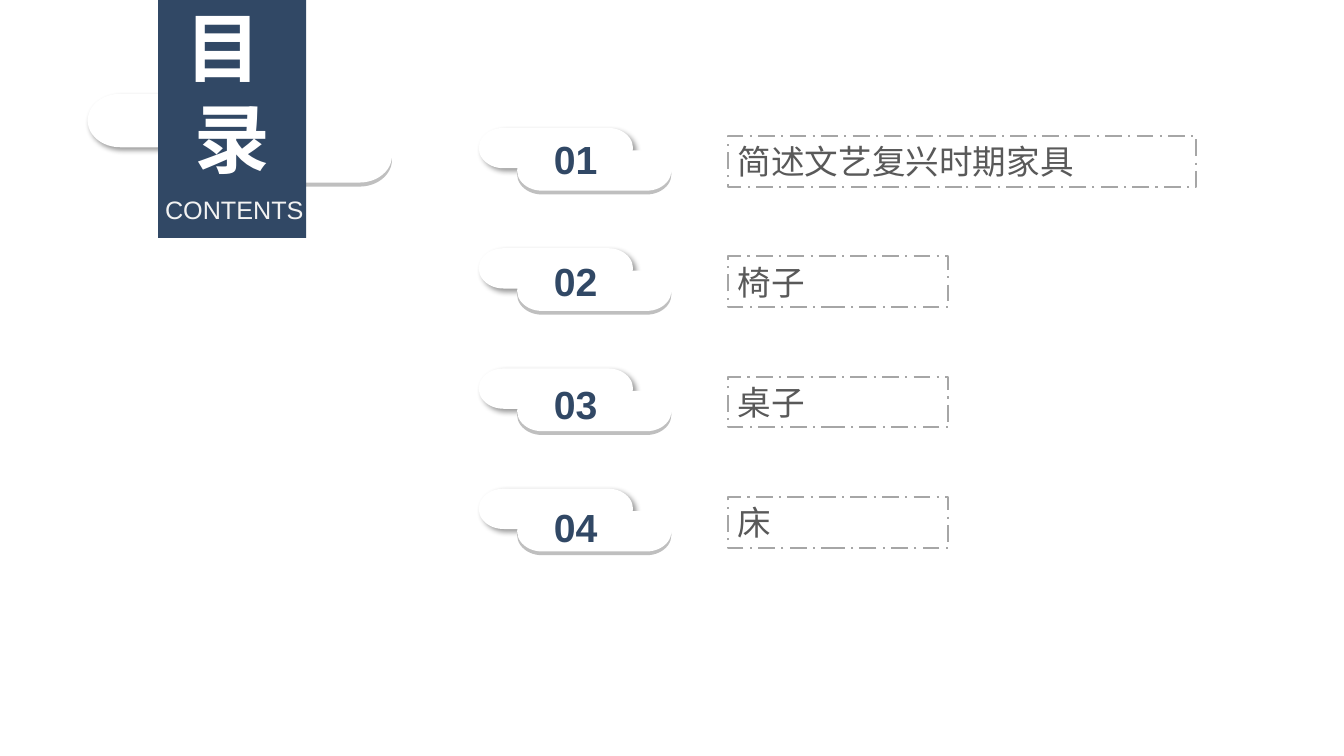
"""Build a contents slide with four numbered entries."""
from dataclasses import dataclass

from lxml.etree import SubElement
from pptx import Presentation
from pptx.dml.color import RGBColor
from pptx.enum.dml import MSO_LINE
from pptx.enum.shapes import MSO_SHAPE
from pptx.enum.text import MSO_ANCHOR, MSO_AUTO_SIZE, PP_ALIGN
from pptx.oxml.ns import qn
from pptx.shapes.autoshape import Shape
from pptx.shapes.shapetree import GroupShapes
from pptx.slide import Slide
from pptx.util import Pt


@dataclass(frozen=True)
class Theme:
    """Colours, font and type sizes."""
    navy: str = "314865"
    white: str = "FFFFFF"
    pale: str = "F2F2F2"
    lip: str = "BFBFBF"
    frame: str = "A6A6A6"
    ink: str = "595959"
    shade: str = "000000"
    font: str = "Arial"
    title: int = 54
    badge: int = 28
    entry: int = 24
    small: int = 18


@dataclass(frozen=True)
class Box:
    """A rectangle in points."""
    left: float
    top: float
    width: float
    height: float

    def move(self, right: float, down: float) -> "Box":
        """Return the box shifted by the given offsets."""
        return Box(self.left + right, self.top + down, self.width, self.height)

    def place(self) -> tuple[Pt, Pt, Pt, Pt]:
        """Return the box as lengths."""
        return Pt(self.left), Pt(self.top), Pt(self.width), Pt(self.height)


@dataclass(frozen=True)
class Cloud:
    """A pill with a second, lipped pill set off from it."""
    box: Box
    right: float
    down: float
    lip: float


@dataclass(frozen=True)
class Entry:
    """A line of the contents list."""
    text: str
    width: float = 157.7


THEME = Theme()
HEAD = Cloud(Box(62.6, 67, 144.7, 38.2), 72.7, 25.2, 2.9)
BADGE = Cloud(Box(342, 91.4, 110.2, 28.8), 27.4, 16, 2.7)
LABEL = Box(383.8, 92.9, 54.7, 41)
BANNER = Box(113, 0, 105.8, 170)
ENTRIES = [Entry("简述文艺复兴时期家具", 334.8), Entry("椅子"), Entry("桌子"), Entry("床")]
STEP = 85.9
DRIFT = 87.6


def paint(shape: Shape, color: str) -> None:
    """Give a shape a flat fill without line or shadow."""
    shape.shadow.inherit = False
    shape.fill.solid()
    shape.fill.fore_color.rgb = RGBColor.from_string(color)
    shape.line.fill.background()


def shade(shape: Shape) -> None:
    """Add a soft diagonal shadow."""
    effect = shape.element.spPr.find(qn("a:effectLst"))
    outer = SubElement(effect, qn("a:outerShdw"), blurRad=str(Pt(4)),
                       dist=str(Pt(3)), dir="2700000", algn="tl", rotWithShape="0")
    color = SubElement(outer, qn("a:srgbClr"), val=THEME.shade)
    SubElement(color, qn("a:alpha"), val="40000")


def write(shape: Shape, text: str, size: int, color: str, bold: bool = False,
          align: PP_ALIGN = PP_ALIGN.CENTER, anchor: MSO_ANCHOR = MSO_ANCHOR.MIDDLE,
          tight: bool = False) -> None:
    """Set and format the text of a shape."""
    frame = shape.text_frame
    frame.text = text
    frame.word_wrap = True
    frame.auto_size = MSO_AUTO_SIZE.NONE
    frame.vertical_anchor = anchor
    if tight:
        frame.margin_left = frame.margin_right = Pt(0)
        frame.margin_top = frame.margin_bottom = Pt(0)
    for line in frame.paragraphs:
        line.alignment = align
        for run in line.runs:
            run.font.name = THEME.font
            run.font.size = Pt(size)
            run.font.bold = bold
            run.font.color.rgb = RGBColor.from_string(color)


def draw_cloud(slide: Slide, cloud: Cloud) -> GroupShapes:
    """Draw a cloud as a group and return the shapes of the group."""
    shapes = slide.shapes.add_group_shape().shapes
    front = cloud.box.move(cloud.right, cloud.down)
    layers = [(front.move(0, cloud.lip), THEME.lip), (cloud.box, THEME.white),
              (front, THEME.white)]
    for box, color in layers:
        pill = shapes.add_shape(MSO_SHAPE.FLOWCHART_TERMINATOR, *box.place())
        paint(pill, color)
        if box == cloud.box:
            shade(pill)
    return shapes


def draw_head(slide: Slide) -> None:
    """Draw the banner with the title."""
    draw_cloud(slide, HEAD)
    banner = slide.shapes.add_shape(MSO_SHAPE.RECTANGLE, *BANNER.place())
    paint(banner, THEME.navy)
    title = slide.shapes.title
    title.left, title.top, title.width, title.height = Box(113, 0, 105.8, 131).place()
    write(title, "目 \n录", THEME.title, THEME.white, bold=True, tight=True)
    banner.element.addnext(title.element)
    sub = slide.shapes.add_textbox(*Box(114.5, 139, 105.8, 21.6).place())
    write(sub, "CONTENTS", THEME.small, THEME.pale, tight=True)


def draw_entry(slide: Slide, index: int, entry: Entry) -> None:
    """Draw a numbered badge and its framed text."""
    down = index * STEP
    cloud = Cloud(BADGE.box.move(0, down), BADGE.right, BADGE.down, BADGE.lip)
    label = draw_cloud(slide, cloud).add_textbox(*LABEL.move(0, index * DRIFT).place())
    write(label, f"{index + 1:02}", THEME.badge, THEME.navy, bold=True,
          anchor=MSO_ANCHOR.TOP)
    box = Box(519.8, 97.2 + down, entry.width, 36.3)
    frame = slide.shapes.add_shape(MSO_SHAPE.RECTANGLE, *box.place())
    frame.shadow.inherit = False
    frame.fill.background()
    frame.line.color.rgb = RGBColor.from_string(THEME.frame)
    frame.line.width = Pt(1.5)
    frame.line.dash_style = MSO_LINE.LONG_DASH_DOT
    write(frame, entry.text, THEME.entry, THEME.ink, align=PP_ALIGN.JUSTIFY)


def main() -> None:
    """Build and save the deck."""
    deck = Presentation()
    deck.slide_width, deck.slide_height = Pt(960), Pt(540)
    slide = deck.slides.add_slide(deck.slide_layouts[5])
    draw_head(slide)
    for index, entry in enumerate(ENTRIES):
        draw_entry(slide, index, entry)
    deck.save("out.pptx")


if __name__ == "__main__":
    main()
